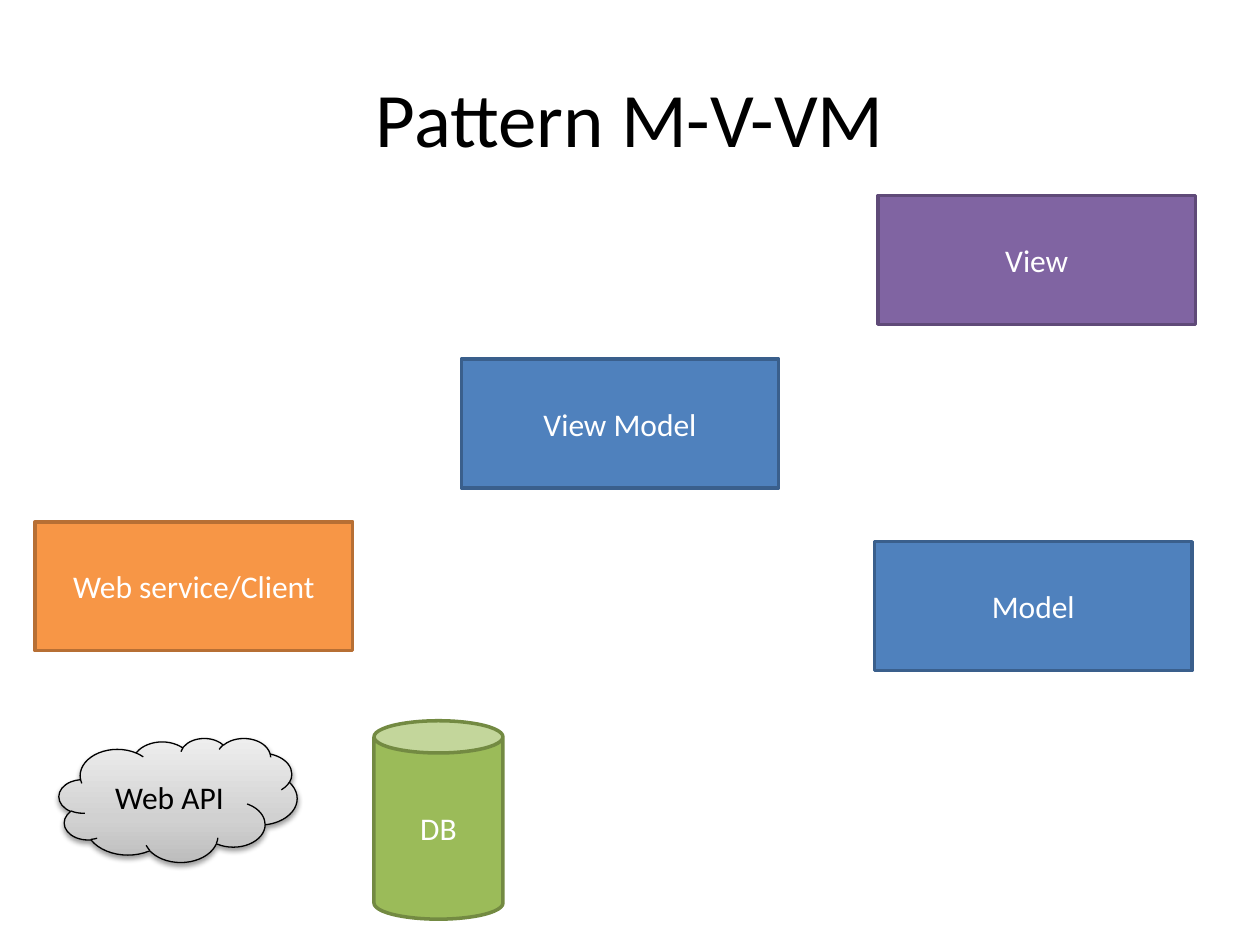
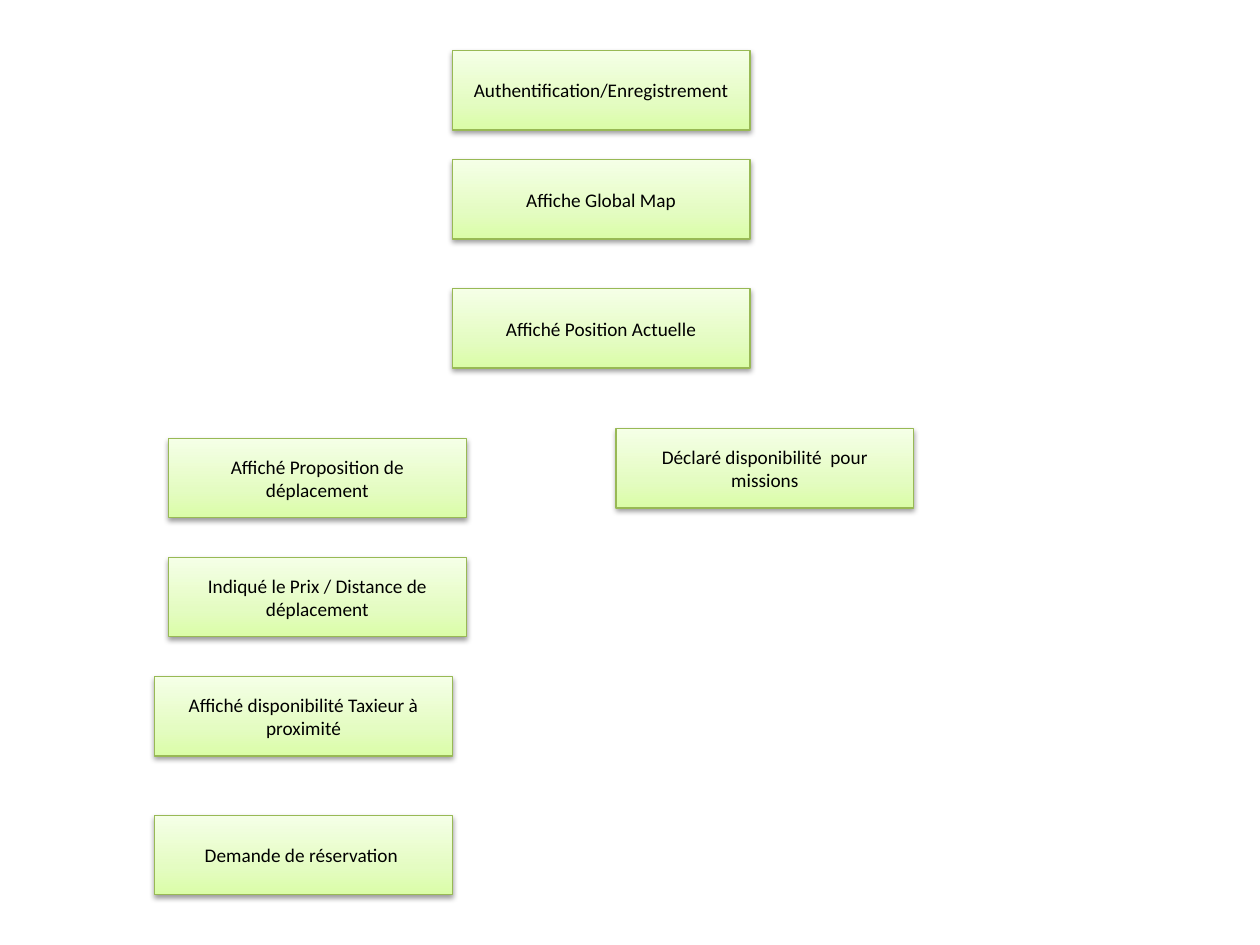
from lxml.etree import SubElement
from pptx import Presentation
from pptx.dml.color import RGBColor
from pptx.enum.shapes import MSO_SHAPE
from pptx.enum.text import MSO_ANCHOR, PP_ALIGN
from pptx.oxml.ns import qn
from pptx.util import Cm, Pt

FONT = "Calibri"
BLACK, WHITE = "000000", "FFFFFF"
BLUE = ("4F81BD", "3A5F8C")
PURPLE = ("8064A2", "5F4A78")
ORANGE = ("F79646", "B76F34")
GREEN = ("9BBB59", "738A42")
GRAY_FADE = ((0, "BDBDBD"), (35, "D1D1D1"), (100, "EEEEEE"))
LIME_FADE = ((0, "DAFDA7"), (35, "E4FCC2"), (100, "F5FFE7"))
LIME_LINE = "98B955"


def tint(color, value):
    """Set a color format from a hex string."""
    color.rgb = RGBColor.from_string(value)


def write(frame, text, size=18, color=WHITE):
    """Put centred text in a frame."""
    frame.word_wrap = True
    frame.vertical_anchor = MSO_ANCHOR.MIDDLE
    para = frame.paragraphs[0]
    para.alignment = PP_ALIGN.CENTER
    run = para.add_run()
    run.text = text
    run.font.name = FONT
    run.font.size = Pt(size)
    tint(run.font.color, color)


def block(shapes, kind, box, line, width):
    """Add an outlined shape without a shadow."""
    shape = shapes.add_shape(kind, *[Cm(n) for n in box])
    shape.shadow.inherit = False
    tint(shape.line.color, line)
    shape.line.width = Pt(width)
    return shape


def solid(shapes, text, box, pair, kind=MSO_SHAPE.RECTANGLE):
    """Add a flat labelled shape from a fill and line pair."""
    fill, line = pair
    shape = block(shapes, kind, box, line, 2)
    shape.fill.solid()
    tint(shape.fill.fore_color, fill)
    write(shape.text_frame, text)


def swatch(parent, value):
    """Append a hex color to an XML node."""
    return SubElement(parent, qn("a:srgbClr"), val=value)


def faded(shapes, text, box, stops, line, size, kind=MSO_SHAPE.RECTANGLE):
    """Add a labelled shape with an upward gradient and a soft shadow."""
    shape = block(shapes, kind, box, line, 0.75)
    shape.fill.gradient()
    shape.fill.gradient_angle = 90
    props = shape.element.spPr
    ramp = props.find(".//" + qn("a:gsLst"))
    for stop in list(ramp):
        ramp.remove(stop)
    for spot, value in stops:
        swatch(SubElement(ramp, qn("a:gs"), pos=str(spot * 1000)), value)
    shade = SubElement(
        props.find(qn("a:effectLst")), qn("a:outerShdw"),
        blurRad=str(Pt(3.1)), dist=str(Pt(1.6)), dir="5400000", rotWithShape="0")
    SubElement(swatch(shade, BLACK), qn("a:alpha"), val="38000")
    write(shape.text_frame, text, size=size, color=BLACK)


def layers(shapes, box):
    """Place the pattern's layers relative to a box."""
    left, top = box
    for text, x, y, pair in (
        ("View", 16.99, 0, PURPLE),
        ("Web service/Client", 0, 6.58, ORANGE),
        ("View Model", 8.59, 3.3, BLUE),
        ("Model", 16.92, 6.98, BLUE),
    ):
        solid(shapes, text, (left + x, top + y, 6.4, 2.6), pair)


def sources(shapes, box):
    """Place the data sources relative to a box."""
    left, top = box
    faded(shapes, "Web API", (left, top + 0.35, 4.8, 2.5),
          GRAY_FADE, BLACK, 18, MSO_SHAPE.CLOUD)
    solid(shapes, "DB", (left + 6.35, top, 2.6, 4), GREEN, MSO_SHAPE.CAN)


def column(shapes, box, steps):
    """Stack steps, each with its drop from the top of a box."""
    left, top = box
    for drop, text in steps:
        faded(shapes, text, (left, top + drop, 6, 1.6), LIME_FADE, LIME_LINE, 11)


def pattern(deck):
    """Build the pattern slide."""
    slide = deck.slides.add_slide(deck.slide_layouts[5])
    title = slide.shapes.title
    title.left, title.top, title.width, title.height = map(
        Cm, (1.27, 0.76, 22.86, 3.18))
    write(title.text_frame, "Pattern M-V-VM", size=44, color=BLACK)
    layers(slide.shapes, (0.71, 3.94))
    sources(slide.shapes, (1.19, 14.53))


def flow(deck):
    """Build the slide of user steps."""
    slide = deck.slides.add_slide(deck.slide_layouts[6])
    shapes = slide.shapes.add_group_shape().shapes
    column(shapes, (9.12, 1.02), (
        (0, "Authentification/Enregistrement"),
        (2.2, "Affiche Global Map"),
        (4.8, "Affiché Position Actuelle")))
    column(shapes, (3.4, 8.84), (
        (0, "Affiché Proposition de déplacement"),
        (2.4, "Indiqué le Prix / Distance de déplacement")))
    column(shapes, (3.12, 13.64), (
        (0, "Affiché disponibilité Taxieur à proximité"),
        (2.8, "Demande de réservation ")))
    column(shapes, (12.42, 8.64), ((0, "Déclaré disponibilité  pour missions"),))


def main():
    """Build and save the deck."""
    deck = Presentation()
    deck.slide_width, deck.slide_height = Cm(25.4), Cm(19.05)
    pattern(deck)
    flow(deck)
    deck.save("out.pptx")


if __name__ == "__main__":
    main()
